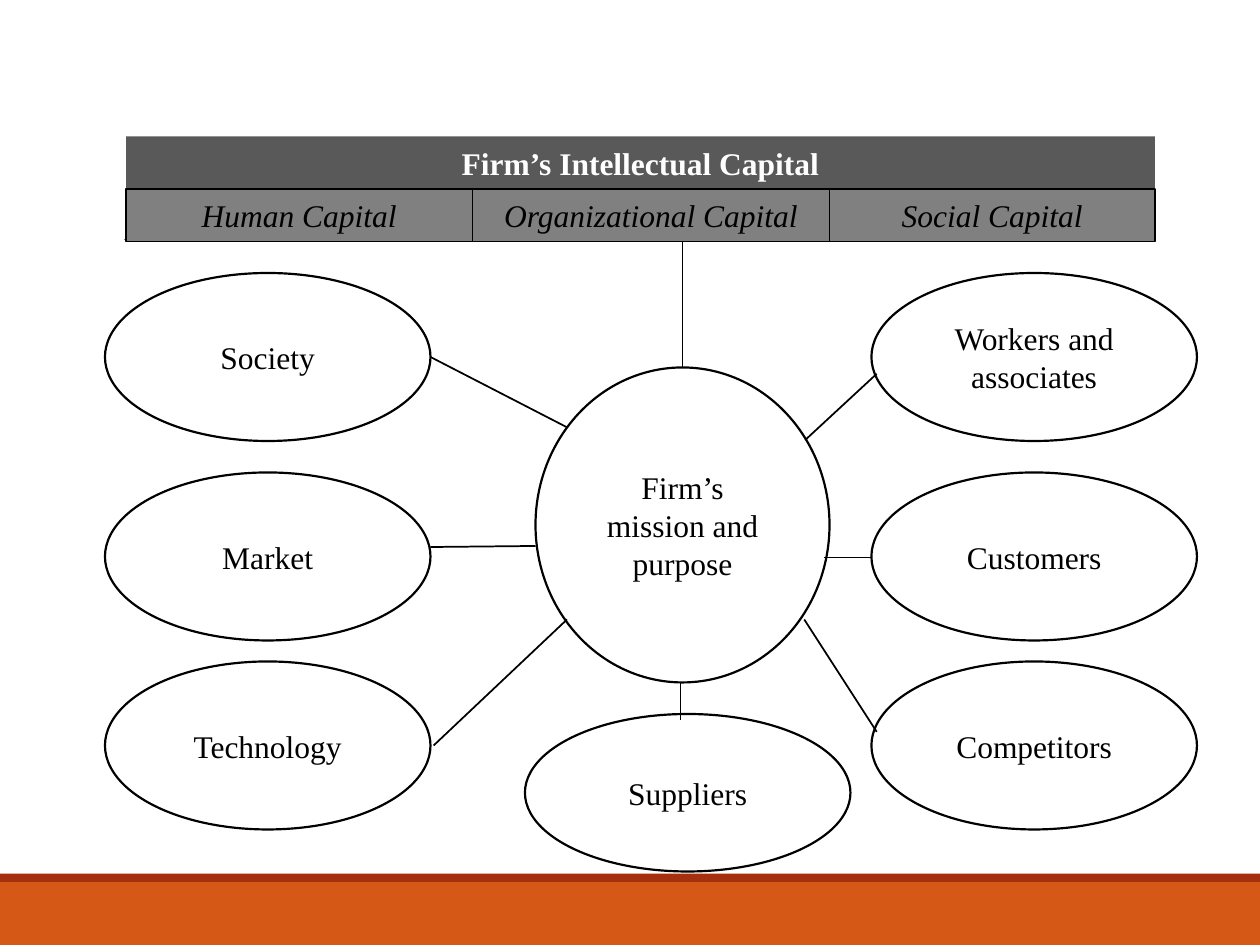
"""Build a slide on a firm's capital, mission and stakeholders."""
import dataclasses
import typing

import lxml.etree
import pptx
import pptx.dml.color
import pptx.enum.shapes
import pptx.enum.text
import pptx.util

KIND = pptx.enum.shapes.MSO_SHAPE
CELL = pptx.util.Inches(1 / 12)


@dataclasses.dataclass(frozen=True)
class Theme:
    font: str = "Times New Roman"
    size: float = 18
    ink: str = "000000"
    paper: str = "FFFFFF"
    head: str = "595959"
    band: str = "808080"
    foot: str = "D55816"
    edge: str = "A5300F"
    thin: float = 0.5
    line: float = 1
    bold: float = 1.25


THEME = Theme()


@dataclasses.dataclass(frozen=True)
class Node:
    col: float
    row: float
    cols: float
    rows: float
    text: str = ""
    kind: int = KIND.RECTANGLE
    fill: str = ""
    width: float = 0
    ink: str = THEME.ink
    bold: bool = False
    slant: bool = False


class Link(typing.NamedTuple):
    col: float
    row: float
    to_col: float
    to_row: float
    width: float = THEME.line
    ink: str = THEME.ink


def span(cells: float) -> int:
    return round(cells * CELL)


def tint(code: str) -> pptx.dml.color.RGBColor:
    return pptx.dml.color.RGBColor.from_string(code)


def draw_node(slide, node: Node) -> None:
    box = [span(n) for n in (node.col, node.row, node.cols, node.rows)]
    shape = slide.shapes.add_shape(node.kind, *box)
    shape.shadow.inherit = False
    if node.fill:
        shape.fill.solid()
        shape.fill.fore_color.rgb = tint(node.fill)
    else:
        shape.fill.background()
    if node.width:
        shape.line.color.rgb = tint(THEME.ink)
        shape.line.width = pptx.util.Pt(node.width)
    else:
        shape.line.fill.background()
    if node.text:
        frame = shape.text_frame
        frame.word_wrap = True
        frame.vertical_anchor = pptx.enum.text.MSO_ANCHOR.MIDDLE
        para = frame.paragraphs[0]
        para.text = node.text
        para.alignment = pptx.enum.text.PP_ALIGN.CENTER
        para.font.name = THEME.font
        para.font.size = pptx.util.Pt(THEME.size)
        para.font.color.rgb = tint(node.ink)
        para.font.bold = node.bold
        para.font.italic = node.slant


def draw_link(slide, link: Link) -> None:
    ends = [span(n) for n in link[:4]]
    line = slide.shapes.add_connector(pptx.enum.shapes.MSO_CONNECTOR.STRAIGHT, *ends)
    line.line.color.rgb = tint(link.ink)
    line.line.width = pptx.util.Pt(link.width)
    props = line._element.spPr
    lxml.etree.SubElement(props, pptx.oxml.ns.qn("a:effectLst"))


def oval(col: float, row: float, text: str, cols: float = 31, rows: float = 16) -> Node:
    return Node(col, row, cols, rows, text, KIND.OVAL, width=THEME.bold)


def bands() -> list[Node]:
    nodes = [Node(12, 13, 98, 5, "Firm’s Intellectual Capital",
                  fill=THEME.head, ink=THEME.paper, bold=True)]
    col = 12
    for name, cols in (("Human", 33), ("Organizational", 34), ("Social", 31)):
        nodes.append(Node(col, 18, cols, 5, f"{name} Capital", fill=THEME.band,
                          width=THEME.line, slant=True))
        col += cols
    return nodes


def ovals() -> list[Node]:
    sides = {10: ("Society", "Market", "Technology"),
             83: ("Workers and associates", "Customers", "Competitors")}
    nodes = [oval(51, 35, "Firm’s mission and purpose", 28, 30)]
    nodes += [oval(col, row, text) for col, names in sides.items()
              for row, text in zip((26, 45, 63), names)]
    return nodes + [oval(50, 68, "Suppliers", rows=15)]


FOOT = (Node(0, 84, 120, 6, fill=THEME.foot), Node(0, 83.2, 120, 0.8, fill=THEME.edge))
RULE = Link(11.8, 22.8, 109.8, 22.8, THEME.thin, THEME.band)
LINKS = (
    Link(41, 34, 54, 40.7),
    Link(41, 52.1, 51, 52),
    Link(41.3, 71, 54, 59),
    Link(64.8, 65, 64.8, 68.6),
    Link(78.5, 53.1, 83, 53.1),
    Link(76.6, 59, 83.5, 69.7),
    Link(76.7, 41.9, 83.5, 35.6),
    Link(65, 23, 65, 35),
)


def main() -> None:
    deck = pptx.Presentation()
    deck.slide_width, deck.slide_height = span(120), span(90)
    slide = deck.slides.add_slide(deck.slide_layouts[6])
    for item in (*FOOT, RULE, *bands(), *ovals(), *LINKS):
        draw = draw_link if isinstance(item, Link) else draw_node
        draw(slide, item)
    deck.save("out.pptx")


main()
